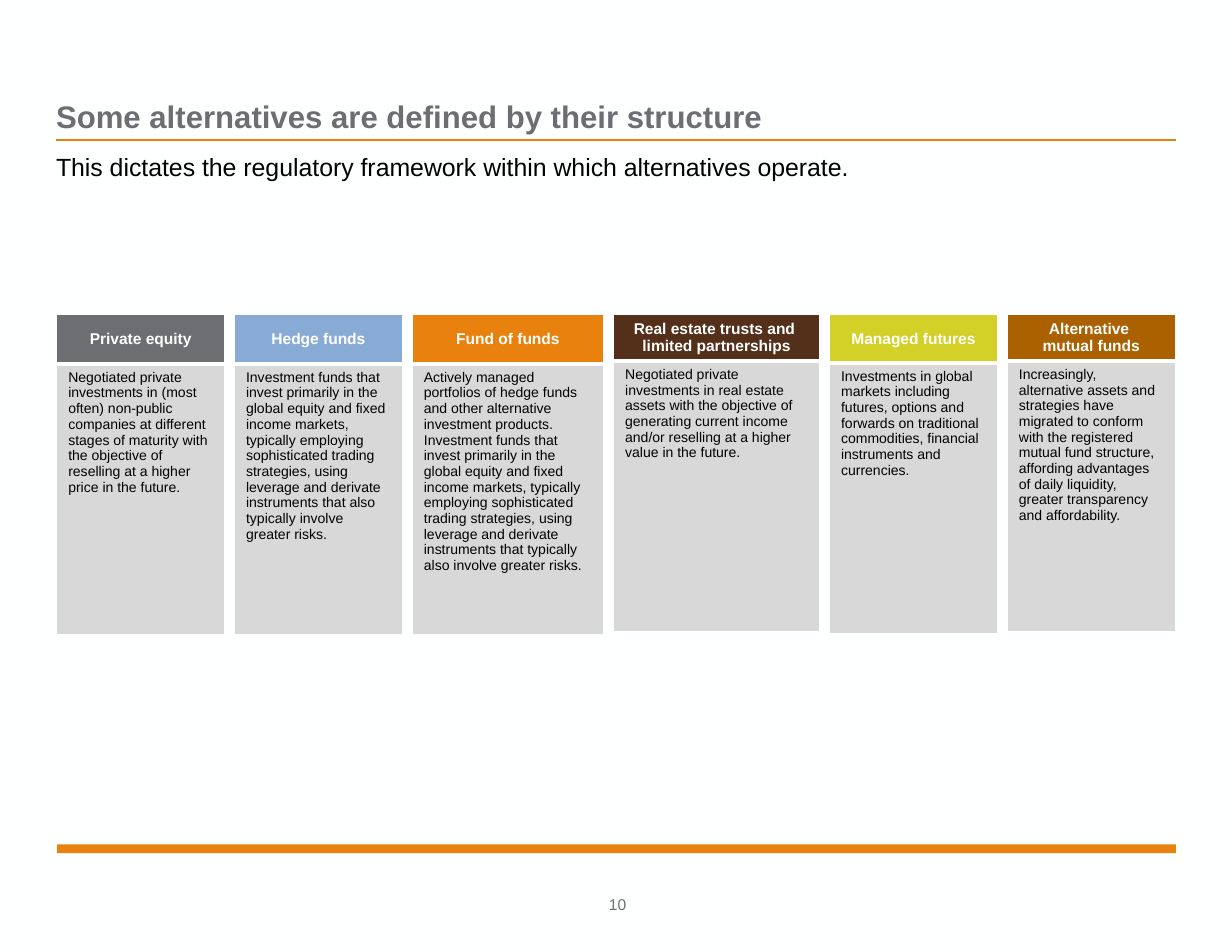
from lxml.etree import SubElement
from pptx import Presentation
from pptx.dml.color import RGBColor
from pptx.enum.shapes import MSO_CONNECTOR as CONN, MSO_SHAPE as SHAPE
from pptx.enum.text import MSO_ANCHOR as ANCHOR, MSO_AUTO_SIZE as AUTO, PP_ALIGN as ALIGN
from pptx.oxml import parse_xml
from pptx.oxml.ns import nsdecls, qn
from pptx.util import Pt

COLORS = {
    "background": "FEFFFF", "white": "FFFFFF", "black": "000000",
    "gray": "6D6E71", "panel": "D8D8D9", "orange": "E8810D",
    "blue": "88ABD5", "brown": "54301A", "lime": "D3D028", "ochre": "AB6100",
}
NO_STYLE = "{2D5ABB26-0587-4C30-8999-92F81FD0307C}"
LEFT, TOP, GAP = 36.7, 202.3, 7
BODY_HEIGHT = 173.5

# Heading, colour, width, heading height, description
FUNDS = [
    ("Private equity", "gray", 107.3, 31.7,
     "Negotiated private investments in (most often) non-public companies at "
     "different stages of maturity with the objective of reselling at a higher "
     "price in the future."),
    ("Hedge funds", "blue", 107.3, 31.7,
     "Investment funds that invest primarily in the global equity and fixed income "
     "markets, typically employing sophisticated trading strategies, using leverage "
     "and derivate instruments that also typically involve greater risks."),
    ("Fund of funds", "orange", 122.4, 31.7,
     "Actively managed portfolios of hedge funds and other alternative \v"
     "investment products.\n"
     "Investment funds that invest primarily in the global equity and fixed income "
     "markets, typically employing sophisticated trading strategies, using leverage "
     "and derivate instruments that typically also involve greater risks."),
    ("Real estate trusts and \vlimited partnerships", "brown", 131.8, 29.8,
     "Negotiated private investments in real estate assets with the objective of "
     "generating current income and/or reselling at a higher value in the future."),
    ("Managed futures", "lime", 107.3, 31,
     "Investments in global markets including futures, options and forwards on "
     "traditional commodities, financial instruments and currencies."),
    ("Alternative \vmutual funds", "ochre", 107.3, 29.8,
     "Increasingly, alternative assets and strategies have migrated to conform with "
     "the registered mutual fund structure, affording advantages of daily liquidity, "
     "greater transparency and affordability."),
]


def rgb(name):
    return RGBColor.from_string(COLORS[name])


def write(tf, text, size, color, bold=False, align=ALIGN.LEFT):
    tf.text = text
    for p in tf.paragraphs:
        p.alignment = align
        for r in p.runs:
            r.font.name = "Arial"
            r.font.size = Pt(size)
            r.font.bold = bold
            r.font.color.rgb = rgb(color)


def clear_margins(tf):
    tf.margin_left = tf.margin_right = tf.margin_top = tf.margin_bottom = 0


def add_title(s, text):
    title = s.shapes.title
    title.left, title.top, title.width, title.height = Pt(36), Pt(37.4), Pt(719.3), Pt(49)
    tf = title.text_frame
    clear_margins(tf)
    tf.vertical_anchor = ANCHOR.BOTTOM
    write(tf, text, 20, "gray", bold=True)


def add_text(s, text, x, y, w, h, size, color, align=ALIGN.LEFT, wrap=True):
    tf = s.shapes.add_textbox(Pt(x), Pt(y), Pt(w), Pt(h)).text_frame
    clear_margins(tf)
    tf.word_wrap = wrap
    tf.auto_size = AUTO.NONE
    write(tf, text, size, color, align=align)


def add_rule(s, x1, x2, y):
    line = s.shapes.add_connector(CONN.STRAIGHT, Pt(x1), Pt(y), Pt(x2), Pt(y))
    line.line.color.rgb = rgb("orange")
    line.line.width = Pt(1)
    SubElement(line._element.spPr, qn("a:effectLst"))


def add_bar(s, x, y, w, h):
    bar = s.shapes.add_shape(SHAPE.RECTANGLE, Pt(x), Pt(y), Pt(w), Pt(h))
    bar.shadow.inherit = False
    bar.fill.solid()
    bar.fill.fore_color.rgb = rgb("orange")
    bar.line.fill.background()


def fill_cell(cell, color, border):
    cell.fill.solid()
    cell.fill.fore_color.rgb = rgb(color)
    # Borders come before the fill in the cell properties
    cell._tc.get_or_add_tcPr().insert(0, parse_xml(
        f'<a:{border} {nsdecls("a")} w="{Pt(3)}"><a:solidFill>'
        f'<a:srgbClr val="{COLORS["white"]}"/></a:solidFill></a:{border}>'))


def add_fund(s, x, heading, color, width, heading_height, description):
    frame = s.shapes.add_table(2, 1, Pt(x), Pt(TOP), Pt(width),
                               Pt(heading_height + BODY_HEIGHT))
    table = frame.table
    table.first_row = table.horz_banding = False
    table._tbl.tblPr.find(qn("a:tableStyleId")).text = NO_STYLE
    table.rows[0].height = Pt(heading_height)
    table.rows[1].height = Pt(BODY_HEIGHT)

    head, body = table.cell(0, 0), table.cell(1, 0)
    head.vertical_anchor = ANCHOR.MIDDLE
    write(head.text_frame, heading, 10, "white", bold=True, align=ALIGN.CENTER)
    fill_cell(head, color, "lnB")
    write(body.text_frame, description, 9, "black")
    fill_cell(body, "panel", "lnT")


def main():
    prs = Presentation()
    prs.slide_width, prs.slide_height = Pt(792), Pt(612)
    s = prs.slides.add_slide(prs.slide_layouts[5])
    s.background.fill.solid()
    s.background.fill.fore_color.rgb = rgb("background")

    # Frame of the page
    add_bar(s, LEFT, 542.8, 719.3, 5.7)
    add_rule(s, 36, 756, 90)
    add_title(s, "Some alternatives are defined by their structure")
    add_text(s, "10", 391, 575.4, 12, 12, 10, "gray", align=ALIGN.CENTER, wrap=False)
    add_text(s, "This dictates the regulatory framework within which alternatives operate.",
             36, 97.2, 622, 26.6, 16, "black")

    # Fund structures, side by side
    x = LEFT
    for heading, color, width, heading_height, description in FUNDS:
        add_fund(s, x, heading, color, width, heading_height, description)
        x += width + GAP

    prs.save("out.pptx")


if __name__ == "__main__":
    main()
